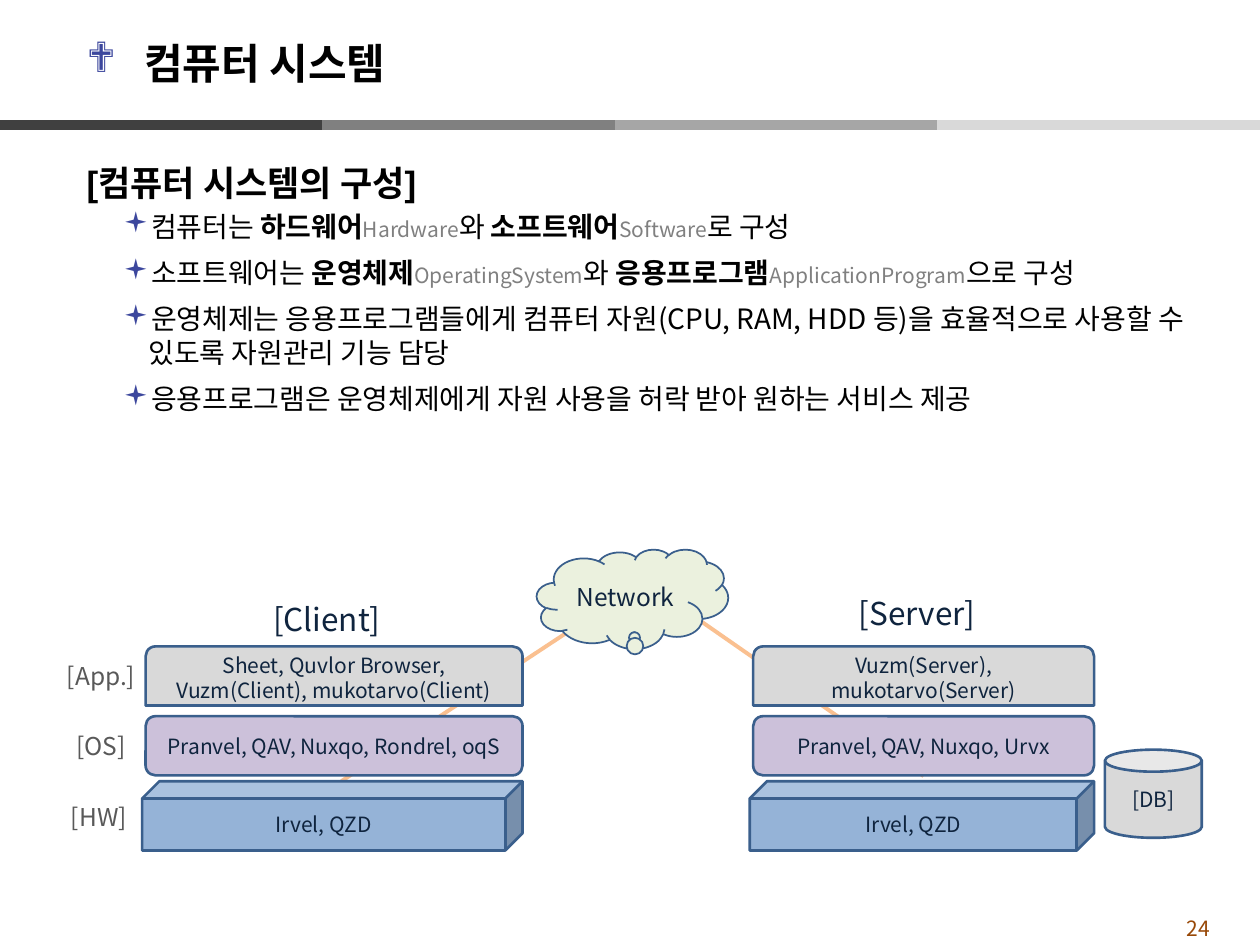
from dataclasses import dataclass

from lxml import etree
from pptx import Presentation
from pptx import util as u
from pptx.dml.color import RGBColor
from pptx.enum import shapes, text
from pptx.oxml import ns

Pt = u.Pt
SHAPE = shapes.MSO_SHAPE
CENTER = text.PP_ALIGN.CENTER


@dataclass(frozen=True)
class Theme:
    font: str = "Noto Sans CJK KR"
    heading_font: str = "Arial"
    black: str = "000000"
    accent: str = "3C479D"
    term: str = "808080"
    ink: str = "0F243E"
    label: str = "595959"
    number: str = "984807"
    outline: str = "3A5F8C"
    link: str = "FAC090"
    app: str = "D9D9D9"
    system: str = "CCC1DA"
    hardware: str = "95B3D7"
    network: str = "EBF1DE"
    bar: tuple = ("404040", "808080", "A6A6A6", "D9D9D9")
    title_size: int = 24
    heading_size: int = 20
    body_size: int = 16
    node_size: int = 18
    label_size: int = 14
    small_size: int = 12


THEME = Theme()

# Each bullet is a list of (text, style) parts
BULLETS = [
    [("컴퓨터는 ", "plain"), ("하드웨어", "bold"), ("Hardware", "term"),
     ("와 ", "plain"), ("소프트웨어", "bold"), ("Software", "term"), ("로 구성", "plain")],
    [("소프트웨어는 ", "plain"), ("운영체제", "bold"), ("OperatingSystem", "term"),
     ("와 ", "plain"), ("응용프로그램", "bold"), ("ApplicationProgram", "term"),
     ("으로 구성", "plain")],
    [("운영체제는 응용프로그램들에게 컴퓨터 자원(CPU, RAM, HDD 등)을 효율적으로 "
      "사용할 수 있도록 자원관리 기능 담당", "plain")],
    [("응용프로그램은 운영체제에게 자원 사용을 허락 받아 원하는 서비스 제공", "plain")],
]


def style_run(run, size, color, bold=False, font=THEME.font):
    run.font.size = Pt(size)
    run.font.bold = bold
    run.font.name = font
    run.font.color.rgb = RGBColor.from_string(color)
    east_asian = etree.SubElement(run.font._element, ns.qn("a:ea"))
    east_asian.set("typeface", THEME.font)


def style_frame(frame, size, color, align=None, bold=False):
    for paragraph in frame.paragraphs:
        paragraph.alignment = align
        for run in paragraph.runs:
            style_run(run, size, color, bold)


def add_bullet(paragraph, character, left, hanging):
    properties = paragraph._p.get_or_add_pPr()
    properties.set("marL", str(Pt(left)))
    properties.set("indent", str(-Pt(hanging)))
    color = etree.SubElement(properties, ns.qn("a:buClr"))
    etree.SubElement(color, ns.qn("a:srgbClr")).set("val", THEME.accent)
    etree.SubElement(properties, ns.qn("a:buFont")).set("typeface", "Wingdings")
    etree.SubElement(properties, ns.qn("a:buChar")).set("char", character)


def add_text(slide, box, content, size, color, align=None, bold=False, wrap=True):
    shape = slide.shapes.add_textbox(*map(Pt, box))
    frame = shape.text_frame
    frame.word_wrap = wrap
    frame.text = content
    style_frame(frame, size, color, align, bold)
    return frame


def add_block(slide, kind, box, content, fill, size=THEME.small_size, weight=1.5):
    shape = slide.shapes.add_shape(kind, *map(Pt, box))
    shape.shadow.inherit = False
    shape.fill.solid()
    shape.fill.fore_color.rgb = RGBColor.from_string(fill)
    shape.line.color.rgb = RGBColor.from_string(THEME.outline)
    shape.line.width = Pt(weight)
    frame = shape.text_frame
    frame.word_wrap = True
    frame.vertical_anchor = text.MSO_ANCHOR.MIDDLE
    frame.text = content
    style_frame(frame, size, THEME.ink, CENTER)
    return shape


def add_line(slide, start, end, color, weight):
    line = slide.shapes.add_connector(shapes.MSO_CONNECTOR.STRAIGHT,
                                      *map(Pt, (*start, *end)))
    line.line.color.rgb = RGBColor.from_string(color)
    line.line.width = Pt(weight)
    etree.SubElement(line._element.spPr, ns.qn("a:effectLst"))


def add_body(slide):
    frame = add_text(slide, (42.5, 77, 674.6, 237), "[컴퓨터 시스템의 구성]",
                     THEME.heading_size, THEME.black, bold=True)
    heading = frame.paragraphs[0]
    heading.line_spacing = 1.5
    heading.runs[0].font.name = THEME.heading_font
    styles = {
        "plain": (THEME.body_size, THEME.black, False),
        "bold": (THEME.body_size, THEME.black, True),
        "term": (THEME.small_size, THEME.term, False),
    }
    for parts in BULLETS:
        paragraph = frame.add_paragraph()
        paragraph.level = 1
        paragraph.space_before = Pt(3.2)
        paragraph.space_after = Pt(4)
        add_bullet(paragraph, "▪", 35.3, 14.4)
        for content, style in parts:
            run = paragraph.add_run()
            run.text = content
            style_run(run, *styles[style])


def add_stack(slide, left, width, app, system):
    """Hardware, operating system and application layers, bottom to top."""
    add_block(slide, SHAPE.CUBE, (left - 2, 446.4, width + 2, 39.6),
              "Irvel, QZD", THEME.hardware)
    add_block(slide, SHAPE.ROUNDED_RECTANGLE, (left, 409.3, width, 33.8),
              system, THEME.system)
    add_block(slide, SHAPE.ROUND_2_SAME_RECTANGLE, (left, 369.4, width, 33.8),
              app, THEME.app)


def main():
    presentation = Presentation()
    presentation.slide_width, presentation.slide_height = Pt(720), Pt(540)
    slide = presentation.slides.add_slide(presentation.slide_layouts[6])

    # Page number and four-tone bar
    add_text(slide, (651.6, 519.8, 66.2, 16.6), "24", THEME.small_size,
             THEME.number, CENTER)
    edges = (0, 184, 351.4, 535.7, 720)
    for color, start, end in zip(THEME.bar, edges, edges[1:]):
        add_line(slide, (start, 71.3), (end, 71.3), color, 6)

    # Title and explanation
    title = add_text(slide, (42.5, 14.4, 629.3, 43.2), " 컴퓨터 시스템",
                     THEME.title_size, THEME.black, bold=True)
    title.vertical_anchor = text.MSO_ANCHOR.MIDDLE
    add_bullet(title.paragraphs[0], "❖", 27.4, 27.4)
    add_body(slide)

    # Links lie behind the stacks and the cloud
    add_line(slide, (527.8, 443.5), (378.7, 339.8), THEME.link, 2.25)
    add_line(slide, (195.1, 446.4), (347, 346.3), THEME.link, 2.25)

    # Client, server, database and network
    add_stack(slide, 83.2, 215.4, "Sheet, Quvlor Browser,\nVuzm(Client), mukotarvo(Client)",
              "Pranvel, QAV, Nuxqo, Rondrel, oqS")
    add_stack(slide, 430.4, 194.8, "Vuzm(Server),\nmukotarvo(Server)",
              "Pranvel, QAV, Nuxqo, Urvx")
    add_block(slide, SHAPE.CAN, (631.4, 428.4, 55.4, 50.4), "[DB]", THEME.app)
    cloud = add_block(slide, SHAPE.CLOUD_CALLOUT, (306.7, 313.9, 109.4, 56.9),
                      "Network", THEME.network, THEME.label_size, 1)
    cloud.adjustments[0], cloud.adjustments[1] = 0.01, 0.36

    # Node names and layer labels
    for content, box in ((" [Client]", (149, 317.5, 79.2, 28.8)),
                         (" [Server]", (483.8, 314.6, 83.5, 28.8))):
        add_text(slide, box, content, THEME.node_size, THEME.ink, wrap=False)
    for content, box in (("[App.]", (29, 374.4, 57.6, 24.5)),
                         ("[OS]", (34.4, 414, 46.8, 24.5)),
                         ("[HW]", (28.1, 455, 56.9, 24.5))):
        add_text(slide, box, content, THEME.label_size, THEME.label, CENTER, wrap=False)

    presentation.save("out.pptx")


if __name__ == "__main__":
    main()
